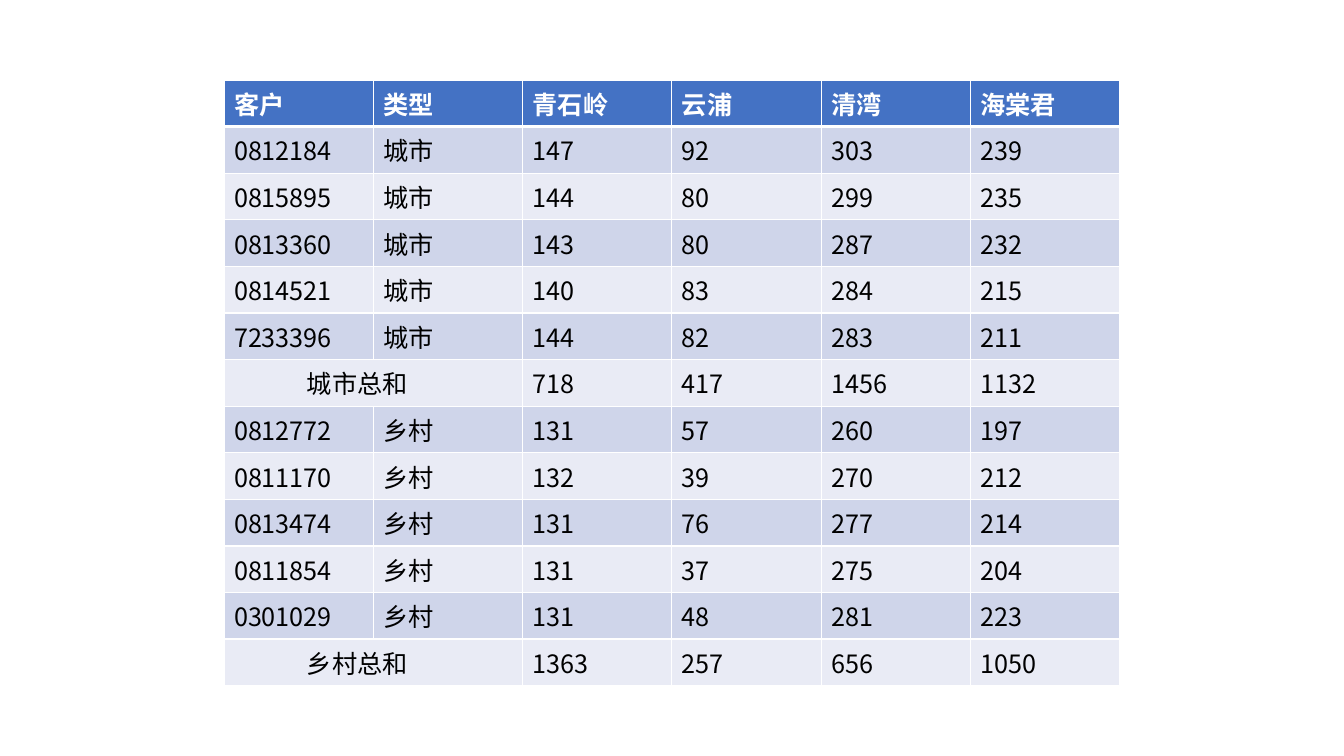
from lxml import etree
from pptx import Presentation
from pptx.dml.color import RGBColor
from pptx.oxml.ns import qn
from pptx.util import Emu, Pt

PX = 914400 / 100.8
FONT = "Noto Sans CJK SC"
COLORS = {
    "header": "4472C4",
    "band_dark": "CFD5EA",
    "band_light": "E9EBF5",
    "border": "FFFFFF",
    "header_text": "FFFFFF",
    "body_text": "000000",
}
TOTAL_INDENT = 83

HEADER = ["客户", "类型", "青石岭", "云浦", "清湾", "海棠君"]
GROUPS = [
    ("城市", [
        ("0812184", 147, 92, 303, 239),
        ("0815895", 144, 80, 299, 235),
        ("0813360", 143, 80, 287, 232),
        ("0814521", 140, 83, 284, 215),
        ("7233396", 144, 82, 283, 211),
    ], (718, 417, 1456, 1132)),
    ("乡村", [
        ("0812772", 131, 57, 260, 197),
        ("0811170", 132, 39, 270, 212),
        ("0813474", 131, 76, 277, 214),
        ("0811854", 131, 37, 275, 204),
        ("0301029", 131, 48, 281, 223),
    ], (1363, 257, 656, 1050)),
]


def px(length):
    return Emu(round(length * PX))


def rgb(name):
    return RGBColor.from_string(COLORS[name])


def table_rows():
    """Return the rows below the header; a total has None as its type."""
    rows = []
    for kind, customers, totals in GROUPS:
        rows += [[customer, kind, *sales] for customer, *sales in customers]
        rows.append([f"{kind}总和", None, *totals])
    return rows


def set_borders(cell, top=1, bottom=1):
    properties = cell._tc.get_or_add_tcPr()
    for side, points in (("L", 1), ("R", 1), ("T", top), ("B", bottom)):
        line = etree.SubElement(properties, qn(f"a:ln{side}"), w=str(Pt(points)))
        fill = etree.SubElement(line, qn("a:solidFill"))
        etree.SubElement(fill, qn("a:srgbClr"), val=COLORS["border"])


def fill_cell(cell, text, fill, text_color, bold):
    cell.fill.solid()
    cell.fill.fore_color.rgb = rgb(fill)
    cell.text = text
    font = cell.text_frame.paragraphs[0].font
    font.name = FONT
    font.size = Pt(18)
    font.bold = bold
    font.color.rgb = rgb(text_color)
    # East Asian typeface
    etree.SubElement(font._element, qn("a:ea"), typeface=FONT)


def add_sales_table(slide, left, top, width, height):
    rows = [HEADER] + table_rows()
    frame = slide.shapes.add_table(
        len(rows), len(HEADER), px(left), px(top), px(width), px(height))
    table = frame.table

    for row_index, values in enumerate(rows):
        is_header = row_index == 0
        if is_header:
            style = ("header", "header_text", True)
        else:
            band = "band_dark" if row_index % 2 else "band_light"
            style = (band, "body_text", False)

        for column_index, value in enumerate(values):
            cell = table.cell(row_index, column_index)
            set_borders(cell, top=3 if row_index == 1 else 1,
                        bottom=3 if is_header else 1)
            fill_cell(cell, "" if value is None else str(value), *style)

        # Total label spans customer and type
        if values[1] is None:
            label = table.cell(row_index, 0)
            label.merge(table.cell(row_index, 1))
            label.margin_left = px(TOTAL_INDENT)


def main():
    presentation = Presentation()
    presentation.slide_width = px(1344)
    presentation.slide_height = px(756)
    slide = presentation.slides.add_slide(presentation.slide_layouts[6])
    add_sales_table(slide, 224, 80, 896, 531)
    presentation.save("out.pptx")


if __name__ == "__main__":
    main()
